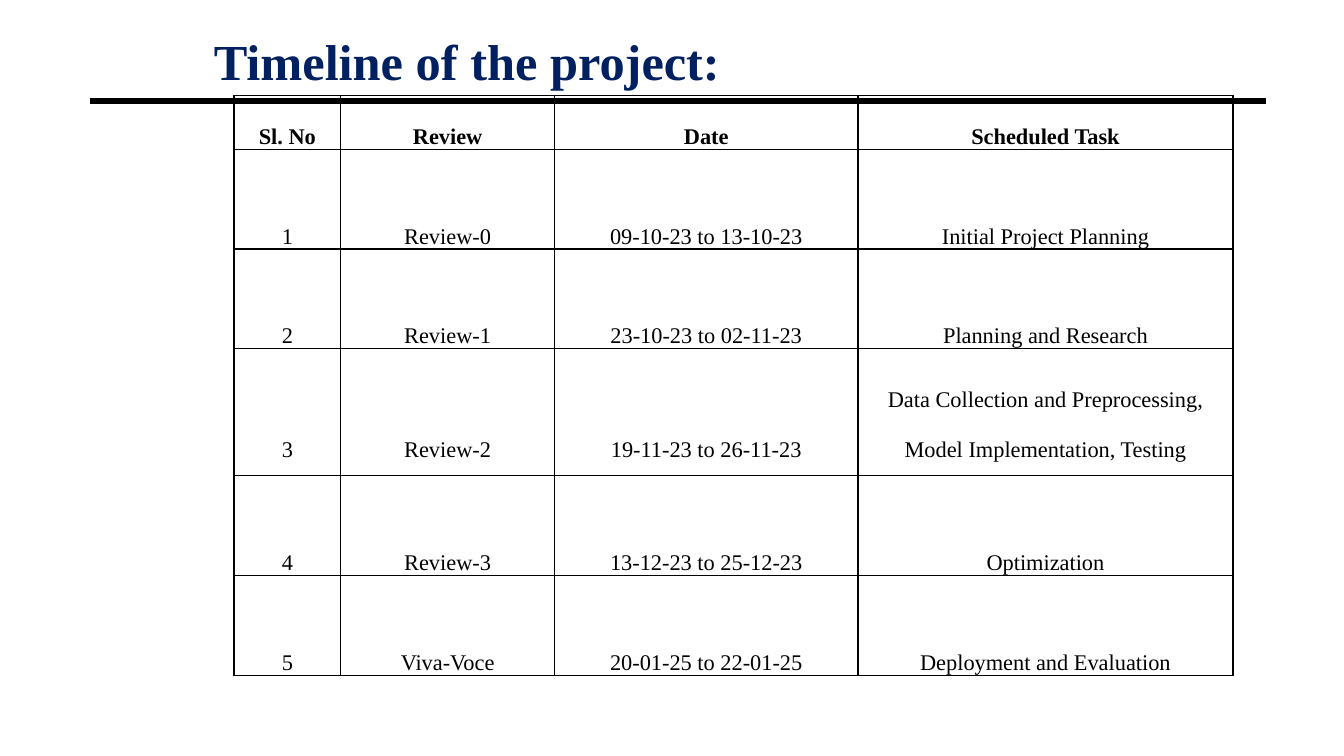
import pptx
import pptx.util
import pptx.dml.color
import pptx.enum.shapes
import pptx.enum.text
import pptx.oxml
import pptx.oxml.ns

Inches, Pt = pptx.util.Inches, pptx.util.Pt
RGBColor = pptx.dml.color.RGBColor
ALIGN, ANCHOR = pptx.enum.text.PP_ALIGN, pptx.enum.text.MSO_ANCHOR

NAVY = RGBColor(0x00, 0x20, 0x60)
BLACK = RGBColor(0x00, 0x00, 0x00)
FACE = "Times New Roman"

COLUMNS = [1.06, 2.12, 3.01, 3.72]
HEADER_HEIGHT, REVIEW_HEIGHT, LONG_HEIGHT = 0.53, 0.99, 1.26
SCHEDULE = [
    ("Sl. No", "Review", "Date", "Scheduled Task"),
    ("1", "Review-0", "09-10-23 to 13-10-23", "Initial Project Planning"),
    ("2", "Review-1", "23-10-23 to 02-11-23", "Planning and Research"),
    ("3", "Review-2", "19-11-23 to 26-11-23",
     "Data Collection and Preprocessing, Model Implementation, Testing"),
    ("4", "Review-3", "13-12-23 to 25-12-23", "Optimization"),
    ("5", "Viva-Voce", "20-01-25 to 22-01-25", "Deployment and Evaluation"),
]
LONG_ROW = 3
HEIGHTS = [HEADER_HEIGHT] + [REVIEW_HEIGHT] * (len(SCHEDULE) - 1)
HEIGHTS[LONG_ROW] = LONG_HEIGHT


def apply(target, formats):
    for name, value in formats.items():
        setattr(target, name, value)


def add_border(cell, side):
    border = pptx.oxml.parse_xml(
        f'<a:{side} {pptx.oxml.ns.nsdecls("a")} w="{Pt(1)}"><a:solidFill>'
        f'<a:srgbClr val="{BLACK}"/></a:solidFill></a:{side}>')
    cell._tc.get_or_add_tcPr().append(border)


deck = pptx.Presentation()
apply(deck, {"slide_width": Inches(13.33), "slide_height": Inches(7.5)})
slide = deck.slides.add_slide(deck.slide_layouts[5])

# Heading
heading = slide.shapes.title
apply(heading, {"left": Inches(2.02), "top": Inches(0.24),
                "width": Inches(5.29), "height": Inches(0.71)})
heading.text_frame.text = "Timeline of the project:"
apply(heading.text_frame, {"word_wrap": False, "vertical_anchor": ANCHOR.MIDDLE,
                           "auto_size": pptx.enum.text.MSO_AUTO_SIZE.NONE})
heading_line = heading.text_frame.paragraphs[0]
heading_line.alignment = ALIGN.LEFT
apply(heading_line.runs[0].font, {"name": FACE, "size": Pt(36), "bold": True})
heading_line.runs[0].font.color.rgb = NAVY

# Rule under the heading
rule = slide.shapes.add_connector(
    pptx.enum.shapes.MSO_CONNECTOR.STRAIGHT,
    Inches(0.89), Inches(1), Inches(12.56), Inches(1))
rule.line.width = Pt(4.5)
rule.line.color.rgb = BLACK
rule._element.spPr.append(
    pptx.oxml.parse_xml(f'<a:effectLst {pptx.oxml.ns.nsdecls("a")}/>'))

# Review schedule
schedule = slide.shapes.add_table(
    len(SCHEDULE), len(COLUMNS), Inches(2.32), Inches(0.95),
    Inches(sum(COLUMNS)), Inches(sum(HEIGHTS))).table
apply(schedule, {"first_row": False, "horz_banding": False})
for column, width in zip(schedule.columns, COLUMNS):
    column.width = Inches(width)

for row_number, review in enumerate(SCHEDULE):
    schedule.rows[row_number].height = Inches(HEIGHTS[row_number])
    for column_number, entry in enumerate(review):
        cell = schedule.cell(row_number, column_number)
        cell.text = entry
        # Entries sit on the row's lower edge; the long row keeps a gap there
        apply(cell, {"margin_left": Inches(0.06), "margin_right": Inches(0.06),
                     "margin_top": 0,
                     "margin_bottom": Inches(0.13 if row_number == LONG_ROW else 0),
                     "vertical_anchor": ANCHOR.BOTTOM})
        for side in ("lnL", "lnR", "lnT", "lnB"):
            add_border(cell, side)
        cell.fill.background()
        entry_line = cell.text_frame.paragraphs[0]
        apply(entry_line, {"alignment": ALIGN.CENTER, "line_spacing": 2.0})
        apply(entry_line.runs[0].font, {"name": FACE, "size": Pt(16),
                                        "bold": row_number == 0})
        entry_line.runs[0].font.color.rgb = BLACK

deck.save("out.pptx")
